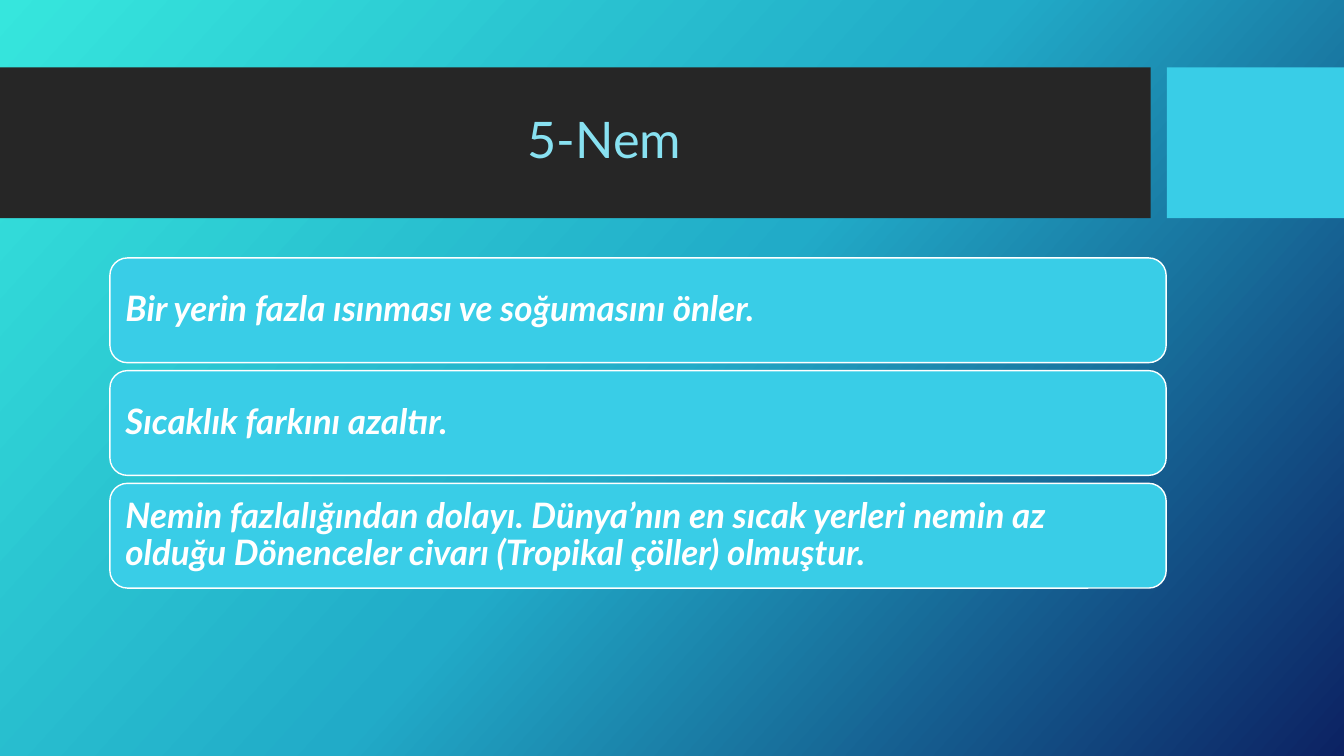
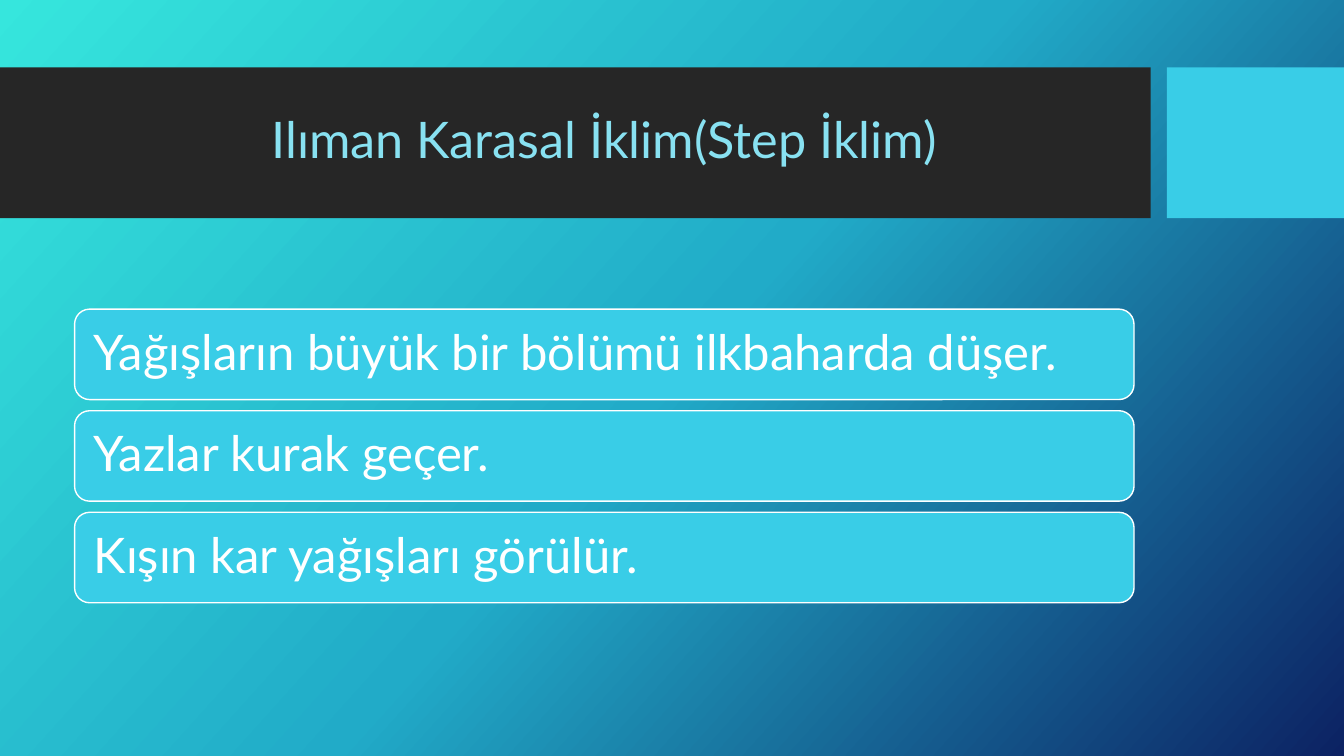
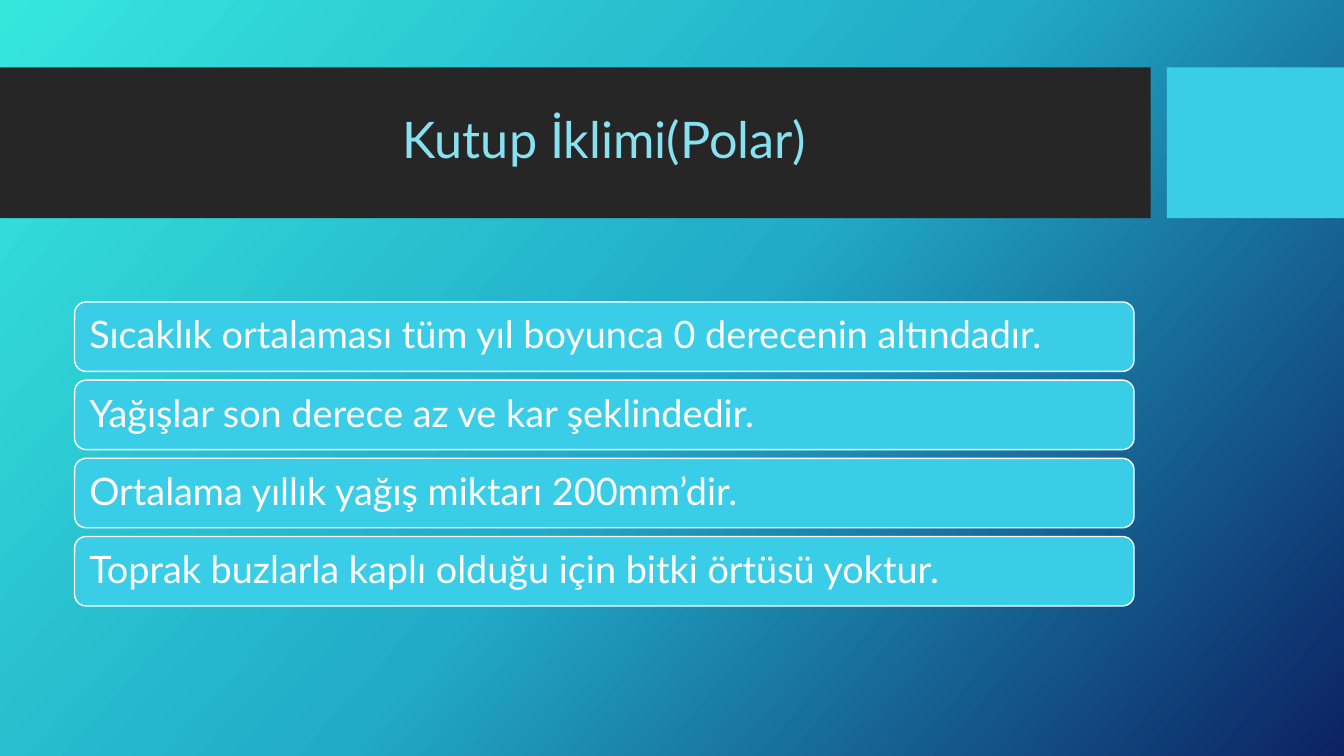
from copy import deepcopy
from dataclasses import dataclass

from pptx import Presentation
from pptx.dml.color import RGBColor
from pptx.enum.shapes import MSO_SHAPE
from pptx.enum.text import MSO_ANCHOR, PP_ALIGN
from pptx.oxml.ns import qn
from pptx.util import Cm, Pt

RECT, ROUNDED = MSO_SHAPE.RECTANGLE, MSO_SHAPE.ROUNDED_RECTANGLE
MIDDLE = MSO_ANCHOR.MIDDLE
LEFT, CENTER = PP_ALIGN.LEFT, PP_ALIGN.CENTER


@dataclass(frozen=True)
class Theme:
    font: str = "Lato"
    title_size: int = 36
    line_spacing: float = 0.9
    inset_ratio: float = 0.3  # card inset relative to the type size
    title: str = "88E1F1"
    band: str = "262626"
    accent: str = "39CDE7"
    white: str = "FFFFFF"
    backdrop: tuple = ((0, "36E6DD"), (0.5, "21ABC8"), (1, "0C2263"))
    backdrop_angle: int = 42  # clockwise


THEME = Theme()

# Lengths in centimetres
SLIDE_WIDTH, SLIDE_HEIGHT = 33.87, 19.05
BAND_TOP, BAND_HEIGHT = 1.7, 3.8
BAND_WIDTH, BAND_GAP = 29, 0.41
TITLE_BOX = (1.88, 2.08, 26.7, 3)

SLIDES = [
    {
        "title": "5-Nem",
        "facts": [
            "Bir yerin fazla ısınması ve soğumasını önler.",
            "Sıcaklık farkını azaltır.",
            "Nemin fazlalığından dolayı. Dünya’nın en sıcak yerleri nemin az "
            "olduğu Dönenceler civarı (Tropikal çöller) olmuştur.",
        ],
        "first_card": (2.77, 6.5, 26.62, 2.64),
        "gap": 0.2, "size": 25, "emphasis": True,
    },
    {
        "title": "Ilıman Karasal İklim(Step İklim)",
        "facts": [
            "Yağışların büyük bir bölümü ilkbaharda düşer.",
            "Yazlar kurak geçer.",
            "Kışın kar yağışları görülür.",
        ],
        "first_card": (1.88, 7.79, 26.7, 2.28),
        "gap": 0.28, "size": 35, "emphasis": False,
    },
    {
        "title": "Kutup İklimi(Polar)",
        "facts": [
            "Sıcaklık ortalaması tüm yıl boyunca 0 derecenin altındadır.",
            "Yağışlar son derece az ve kar şeklindedir.",
            "Ortalama yıllık yağış miktarı 200mm’dir.",
            "Toprak buzlarla kaplı olduğu için bitki örtüsü yoktur.",
        ],
        "first_card": (1.88, 7.61, 26.7, 1.75),
        "gap": 0.22, "size": 27, "emphasis": False,
    },
]


def rgb(value):
    return RGBColor.from_string(value)


def paint_backdrop(layout):
    """Give the layout the three-colour gradient that all slides inherit."""
    fill = layout.background.fill
    fill.gradient()
    fill.gradient_angle = 360 - THEME.backdrop_angle
    stop_list = layout.element.find(".//" + qn("a:gsLst"))
    stop_list.append(deepcopy(stop_list[0]))
    for stop, (position, color) in zip(fill.gradient_stops, THEME.backdrop):
        stop.position = position
        stop.color.rgb = rgb(color)


def add_block(slide, kind, box, color, outline=None):
    block = slide.shapes.add_shape(kind, *map(Cm, box))
    block.shadow.inherit = False
    block.fill.solid()
    block.fill.fore_color.rgb = rgb(color)
    if outline:
        block.line.color.rgb = rgb(outline)
        block.line.width = Pt(1)
    else:
        block.line.fill.background()
    return block


def write(frame, text, size, color, align, emphasis=None):
    frame.word_wrap = True
    frame.vertical_anchor = MIDDLE
    paragraph = frame.paragraphs[0]
    paragraph.text = text
    paragraph.alignment = align
    paragraph.line_spacing = THEME.line_spacing
    font = paragraph.font
    font.name, font.size = THEME.font, Pt(size)
    font.bold = font.italic = emphasis
    font.color.rgb = rgb(color)


def add_header(slide, title):
    corner_left = BAND_WIDTH + BAND_GAP
    add_block(slide, RECT, (0, BAND_TOP, BAND_WIDTH, BAND_HEIGHT), THEME.band)
    add_block(slide, RECT, (corner_left, BAND_TOP, SLIDE_WIDTH - corner_left, BAND_HEIGHT),
              THEME.accent)
    heading = slide.shapes.add_textbox(*map(Cm, TITLE_BOX))
    write(heading.text_frame, title, THEME.title_size, THEME.title, CENTER)


def add_cards(slide, facts, first_card, gap, size, emphasis):
    left, top, width, height = first_card
    inset = Pt(size * THEME.inset_ratio)
    for row, fact in enumerate(facts):
        box = (left, top + row * (height + gap), width, height)
        card = add_block(slide, ROUNDED, box, THEME.accent, THEME.white)
        frame = card.text_frame
        frame.margin_left = frame.margin_right = inset
        frame.margin_top = frame.margin_bottom = inset
        write(frame, fact, size, THEME.white, LEFT, emphasis)


def main():
    deck = Presentation()
    deck.slide_width, deck.slide_height = Cm(SLIDE_WIDTH), Cm(SLIDE_HEIGHT)
    blank = deck.slide_layouts[6]
    paint_backdrop(blank)
    for content in SLIDES:
        slide = deck.slides.add_slide(blank)
        add_header(slide, content["title"])
        add_cards(slide, content["facts"], content["first_card"], content["gap"],
                  content["size"], content["emphasis"])
    deck.save("out.pptx")


if __name__ == "__main__":
    main()
